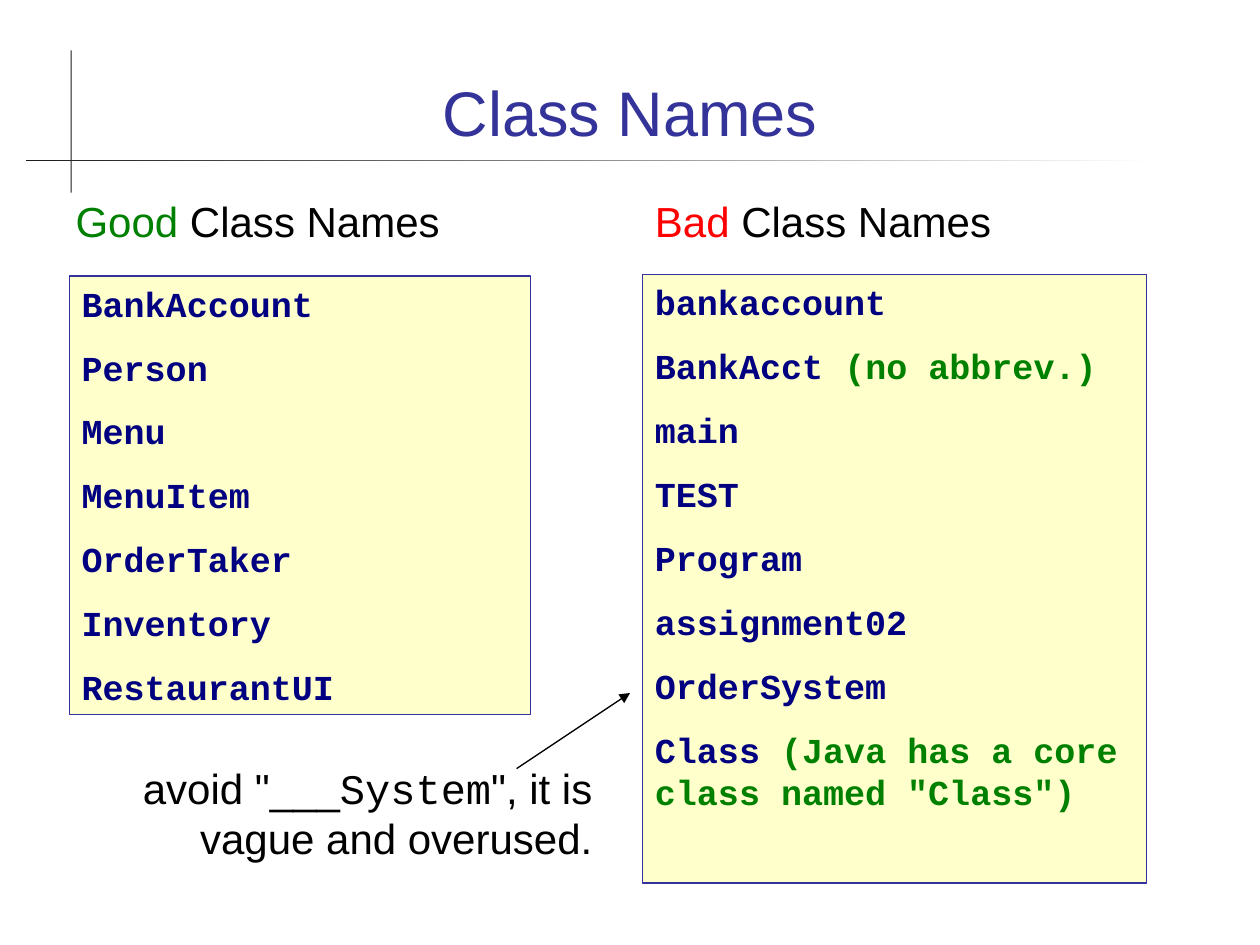
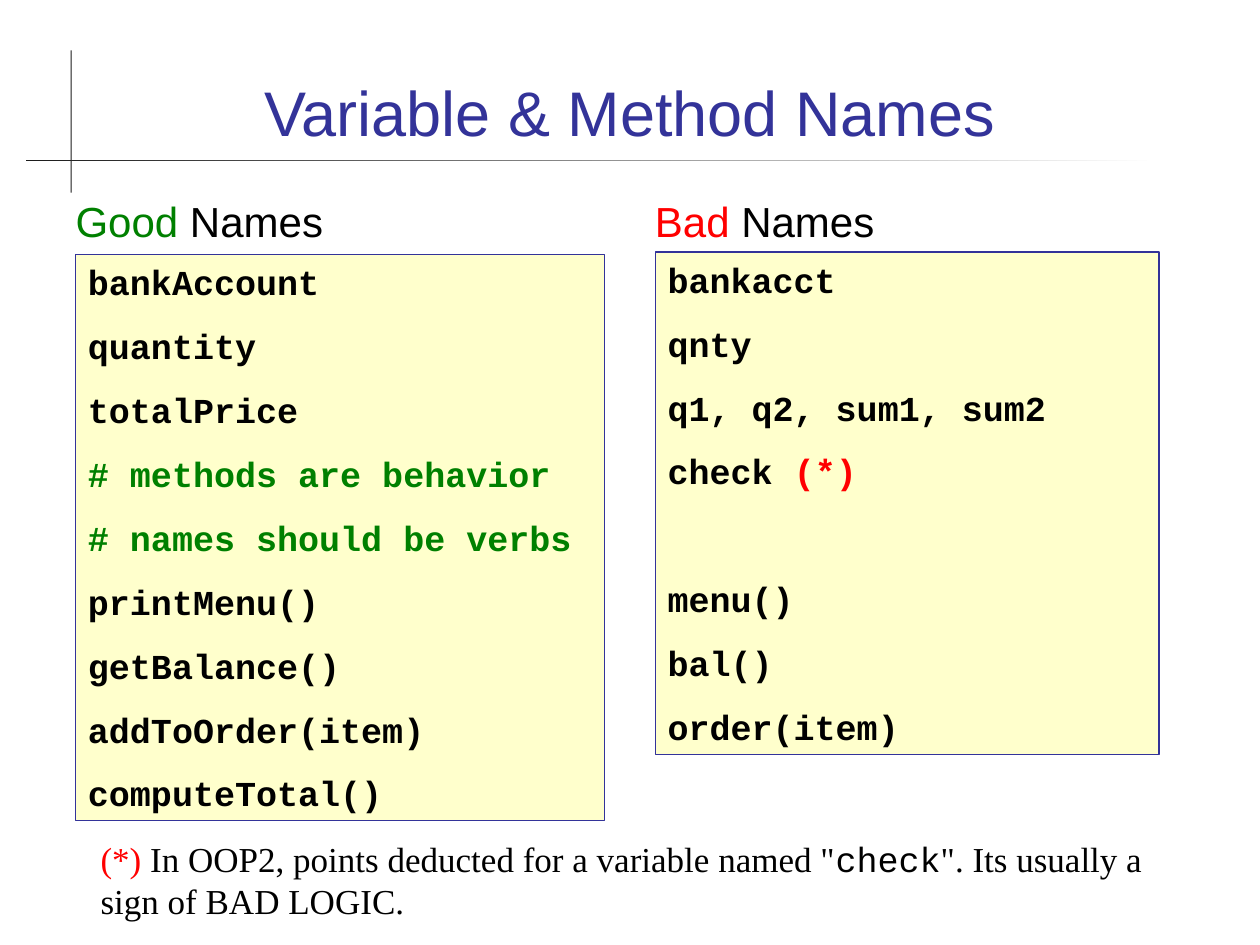
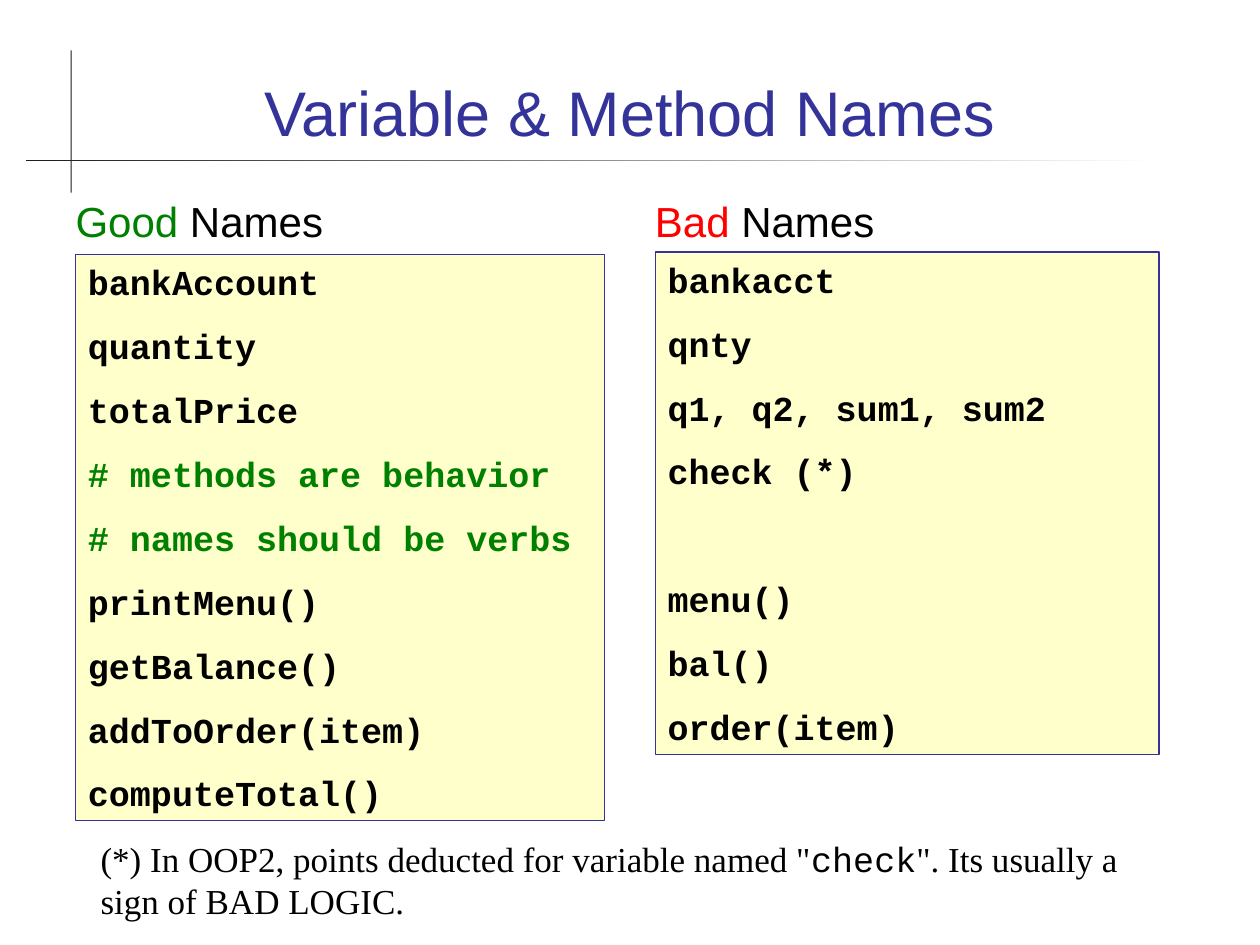
from lxml.etree import SubElement
from pptx import Presentation
from pptx.dml.color import RGBColor
from pptx.enum.shapes import MSO_CONNECTOR, MSO_SHAPE
from pptx.enum.text import MSO_ANCHOR, MSO_AUTO_SIZE, PP_ALIGN
from pptx.oxml.ns import qn
from pptx.util import Pt

PX = 9144
BLUE, NAVY, GREEN, RED = "333399", "000080", "008000", "FF0000"
BLACK, CHARCOAL, WHITE, CREAM = "000000", "1C1C1C", "FFFFFF", "FFFFCC"
SANS, MONO, SERIF = "Arial", "Courier New", "Times New Roman"

TITLE_BOX = (67, 28, 866, 95)
GOOD_BOX = (50, 150, 370, 90)
BAD_BOX = (510, 150, 370, 90)
VERTICAL_RULE = (56, 40, 1, 113)
HORIZONTAL_RULE = (21, 127, 897, 1)
CODE_SPACE = 12.5
SECTION_SPACE = 49

GOOD_CLASSES = ["BankAccount", "Person", "Menu", "MenuItem", "OrderTaker", "Inventory", "RestaurantUI"]
BAD_CLASSES = [
    "bankaccount",
    ["BankAcct ", ("(no abbrev.)", GREEN)],
    "main", "TEST", "Program", "assignment02", "OrderSystem",
    ["Class ", ('(Java has a core class named "Class")', GREEN)],
]
GOOD_NAMES = [
    "bankAccount", "quantity", "totalPrice",
    [("# methods are behavior", GREEN)], [("# names should be verbs", GREEN)],
    "printMenu()", "getBalance()", "addToOrder(item)", "computeTotal()",
]
BAD_VARIABLES = ["bankacct", "qnty", "q1, q2, sum1, sum2"]
BAD_METHODS = ["menu()", "bal()", "order(item)"]
CHECK_ENDING = [("check", None, MONO), '". Its usually a sign of BAD LOGIC.']

CLASS_NAMES = {
    "title": "Class Names",
    "heading": " Class Names",
    "code_colour": NAVY,
    "panels": [((55, 219, 366, 348), [GOOD_CLASSES]), ((510, 218, 400, 483), [BAD_CLASSES])],
    "advice": ['avoid "___', ("System", None, MONO), '", it is vague and overused.'],
    "advice_box": (60, 600, 420, 90),
    "advice_style": (24, SANS, PP_ALIGN.RIGHT),
    "arrow": (410, 610, 500, 550),
}


def variable_names(check, advice):
    bad_names = [[*BAD_VARIABLES, check], BAD_METHODS]
    return {
        "title": "Variable & Method Names",
        "heading": " Names",
        "code_colour": BLACK,
        "panels": [((60, 202, 420, 449), [GOOD_NAMES]), ((520, 200, 400, 399), bad_names)],
        "advice": advice + CHECK_ENDING,
        "advice_box": (70, 660, 860, 77),
        "advice_style": (20, SERIF, PP_ALIGN.LEFT),
    }


SLIDES = [
    CLASS_NAMES,
    variable_names(
        ["check ", ("(*)", RED)],
        [("(*)", RED), ' In OOP2, points deducted for a variable named "'],
    ),
    variable_names("check (*)", ['(*) In OOP2, points deducted for variable named "']),
]


def rgb(colour):
    return RGBColor.from_string(colour)


def emu(lengths):
    return [length * PX for length in lengths]


def place(shape, box):
    shape.left, shape.top, shape.width, shape.height = emu(box)


def write(paragraph, runs, size, font, colour, align=PP_ALIGN.LEFT, before=0, bold=False):
    paragraph.alignment = align
    paragraph.space_before = Pt(before)
    paragraph.font.size = Pt(size)
    paragraph.font.name = font
    paragraph.font.bold = bold
    paragraph.font.color.rgb = rgb(colour)
    for part in [runs] if isinstance(runs, str) else runs:
        text, run_colour, run_font = ((part,) if isinstance(part, str) else part) + (None,) * (
            2 if isinstance(part, str) else 3 - len(part))
        run = paragraph.add_run()
        run.text = text
        if run_colour:
            run.font.color.rgb = rgb(run_colour)
        if run_font:
            run.font.name = run_font


def add_rectangle(slide, box):
    rectangle = slide.shapes.add_shape(MSO_SHAPE.RECTANGLE, *emu(box))
    rectangle.shadow.inherit = False
    return rectangle


def add_text(slide, box):
    frame = slide.shapes.add_textbox(*emu(box)).text_frame
    frame.word_wrap = True
    return frame.paragraphs[0]


def add_heading(paragraph, verdict, colour, rest):
    write(paragraph, [(verdict, colour), rest], 24, SANS, BLACK, before=11.4)


def add_panel(slide, box, sections, colour):
    panel = add_rectangle(slide, box)
    panel.fill.solid()
    panel.fill.fore_color.rgb = rgb(CREAM)
    panel.line.color.rgb = rgb(BLUE)
    panel.line.width = Pt(0.75)
    frame = panel.text_frame
    frame.word_wrap = True
    frame.auto_size = MSO_AUTO_SIZE.SHAPE_TO_FIT_TEXT
    frame.vertical_anchor = MSO_ANCHOR.TOP
    for section_number, section in enumerate(sections):
        for row, code in enumerate(section):
            starts_panel = section_number == row == 0
            paragraph = frame.paragraphs[0] if starts_panel else frame.add_paragraph()
            before = SECTION_SPACE if section_number and row == 0 else CODE_SPACE
            write(paragraph, code, 20, MONO, colour, before=before, bold=True)


def add_arrow(slide, ends):
    arrow = slide.shapes.add_connector(MSO_CONNECTOR.STRAIGHT, *emu(ends))
    arrow.line.color.rgb = rgb(BLACK)
    arrow.line.width = Pt(0.75)
    SubElement(arrow.line._get_or_add_ln(), qn("a:tailEnd"), type="triangle")
    SubElement(arrow._element.spPr, qn("a:effectLst"))


def set_up_layout(layout, slide):
    title, body = layout.placeholders[0], layout.placeholders[1]
    place(title, TITLE_BOX)
    place(body, GOOD_BOX)
    vertical = add_rectangle(slide, VERTICAL_RULE)
    vertical.fill.solid()
    vertical.fill.fore_color.rgb = rgb(CHARCOAL)
    horizontal = add_rectangle(slide, HORIZONTAL_RULE)
    horizontal.fill.gradient()
    horizontal.fill.gradient_angle = 180
    for stop, colour in zip(horizontal.fill.gradient_stops, (WHITE, CHARCOAL)):
        stop.color.rgb = rgb(colour)
    for position, rule in enumerate((vertical, horizontal), start=2):
        rule.line.fill.background()
        layout.shapes.element.insert(position, rule.element)


def fill_slide(slide, content):
    title = slide.shapes.title.text_frame
    title.vertical_anchor = MSO_ANCHOR.BOTTOM
    title.auto_size = MSO_AUTO_SIZE.NONE
    write(title.paragraphs[0], content["title"], 36, SANS, BLUE, PP_ALIGN.CENTER)

    good = slide.placeholders[1].text_frame
    good.auto_size = MSO_AUTO_SIZE.NONE
    add_heading(good.paragraphs[0], "Good", GREEN, content["heading"])
    properties = good.paragraphs[0]._p.get_or_add_pPr()
    properties.set("marL", "0")
    properties.set("indent", "0")
    properties.insert_element_before(properties.makeelement(qn("a:buNone"), {}), "a:tabLst", "a:defRPr")

    good_panel, bad_panel = content["panels"]
    add_panel(slide, *good_panel, content["code_colour"])
    add_heading(add_text(slide, BAD_BOX), "Bad", RED, content["heading"])
    add_panel(slide, *bad_panel, content["code_colour"])

    size, font, align = content["advice_style"]
    write(add_text(slide, content["advice_box"]), content["advice"], size, font, BLACK, align)
    if "arrow" in content:
        add_arrow(slide, content["arrow"])


def main():
    presentation = Presentation()
    presentation.slide_width, presentation.slide_height = emu((1000, 750))
    layout = presentation.slide_layouts[1]
    for number, content in enumerate(SLIDES):
        slide = presentation.slides.add_slide(layout)
        if number == 0:
            set_up_layout(layout, slide)
        fill_slide(slide, content)
    presentation.save("out.pptx")


if __name__ == "__main__":
    main()
